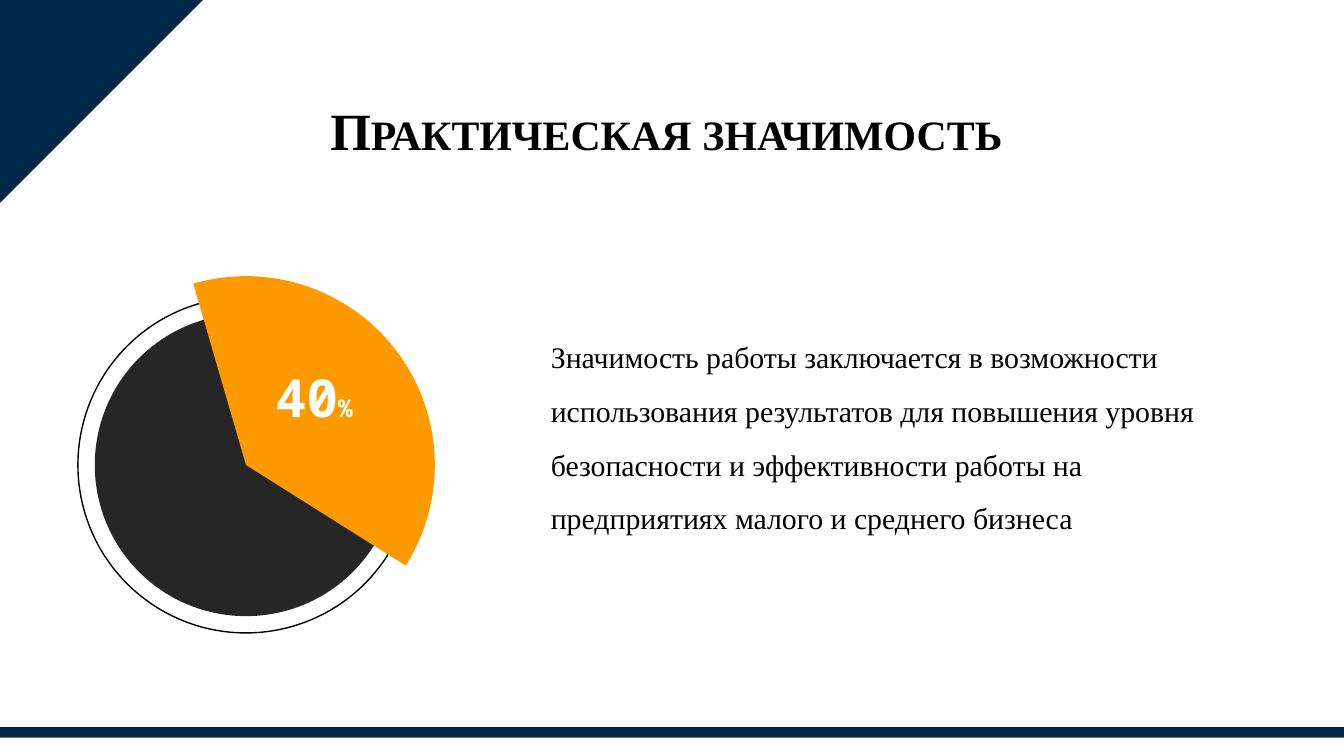
from pptx import Presentation
from pptx.dml.color import RGBColor
from pptx.enum.shapes import MSO_SHAPE
from pptx.enum.text import MSO_ANCHOR, MSO_AUTO_SIZE, PP_ALIGN
from pptx.util import Inches, Pt

COLORS = {"navy": "002748", "dark": "262626", "orange": "FF9900",
          "black": "000000", "white": "FFFFFF"}
SERIF = "Times New Roman"
MONO = "Noto Sans Mono"


def add_shape(kind, left, top, width, height, fill=None):
    shape = slide.shapes.add_shape(
        kind, Inches(left), Inches(top), Inches(width), Inches(height))
    shape.shadow.inherit = False
    if fill:
        shape.fill.solid()
        shape.fill.fore_color.rgb = RGBColor.from_string(COLORS[fill])
    else:
        shape.fill.background()
    shape.line.fill.background()
    return shape


def style(font, name, size, color, bold=False):
    font.name = name
    font.size = Pt(size)
    font.bold = bold
    font.color.rgb = RGBColor.from_string(COLORS[color])


prs = Presentation()
prs.slide_width = Inches(10)
prs.slide_height = Inches(10 * 9 / 16)
slide = prs.slides.add_slide(prs.slide_layouts[5])

# Corner and title
corner = add_shape(MSO_SHAPE.RIGHT_TRIANGLE, -0.02, -0.01, 1.54, 1.54, "navy")
corner.rotation = 90

title = slide.shapes.title
title.left, title.top = Inches(1.97), Inches(0.7)
title.width, title.height = Inches(5.98), Inches(0.53)
frame = title.text_frame
frame.text = "Практическая значимость"
frame.auto_size = MSO_AUTO_SIZE.NONE
frame.vertical_anchor = MSO_ANCHOR.TOP
frame.margin_left = frame.margin_right = Inches(0.06)
frame.margin_top = frame.margin_bottom = Inches(0.03)
para = frame.paragraphs[0]
para.alignment = PP_ALIGN.CENTER
style(para.font, SERIF, 28, "black", bold=True)
para.runs[0]._r.get_or_add_rPr().set("cap", "small")

# Pie: disc, ring and raised sector share one centre
mid_x, mid_y = 1.83, 3.46
for kind, size, fill, turn, angles in (
        (MSO_SHAPE.PIE, 2.25, "dark", 0, (198.84, 162)),
        (MSO_SHAPE.OVAL, 2.5, None, 0, ()),
        (MSO_SHAPE.PIE, 2.81, "orange", 75, (107.27, 190.33))):
    part = add_shape(kind, mid_x - size / 2, mid_y - size / 2, size, size, fill)
    part.rotation = turn
    for index, angle in enumerate(angles):
        part.adjustments[index] = angle
    if not fill:
        part.line.color.rgb = RGBColor.from_string(COLORS["black"])
        part.line.width = Pt(0.75)

# Share label
label = slide.shapes.add_textbox(
    Inches(1.95), Inches(2.67), Inches(0.85), Inches(0.6))
label.text_frame.word_wrap = False
para = label.text_frame.paragraphs[0]
for text, size in (("40", 28.1), ("%", 13.2)):
    run = para.add_run()
    run.text = text
    style(run.font, MONO, size, "white", bold=True)

# Statement
body = slide.shapes.add_textbox(
    Inches(4), Inches(2.34), Inches(5.31), Inches(1.72))
body.text_frame.word_wrap = True
para = body.text_frame.paragraphs[0]
para.text = (
    "Значимость работы заключается в возможности использования результатов "
    "для повышения уровня безопасности и эффективности работы "
    "на предприятиях малого и среднего бизнеса")
para.line_spacing = 1.5
style(para.font, SERIF, 16, "black")

# Footer bar
add_shape(MSO_SHAPE.RECTANGLE, -0.01, 5.41, 10.01, 0.08, "navy")

prs.save("out.pptx")
